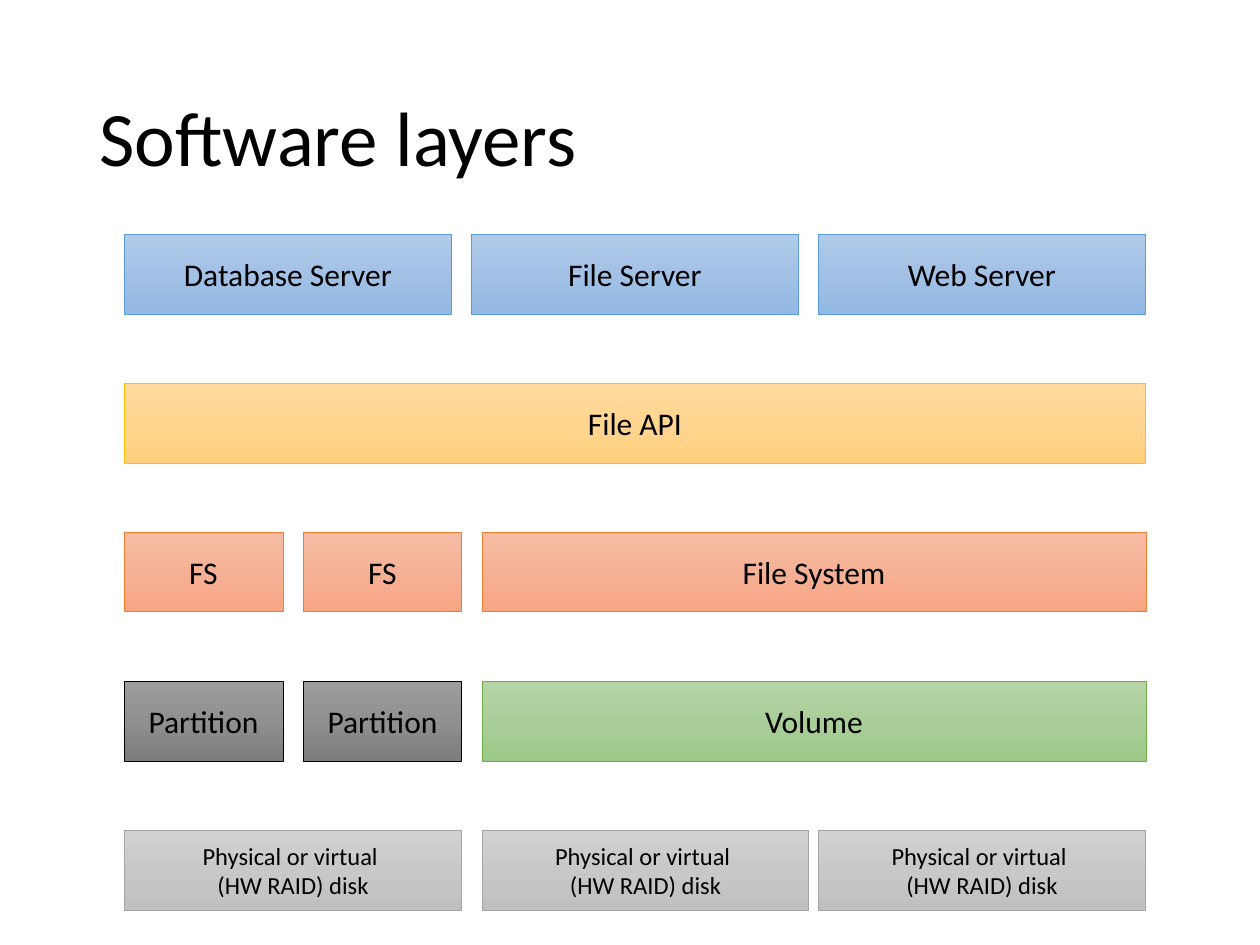
from copy import deepcopy

from pptx import Presentation
from pptx import util as u
from pptx.dml.color import RGBColor
from pptx.enum import shapes, text
from pptx.oxml.ns import qn

PX_PER_INCH = 126
FONT = "Calibri"
BLACK = RGBColor(0, 0, 0)


def rgbs(*codes):
    """Turn hex codes into colours."""
    return [RGBColor.from_string(code) for code in codes]


# Line colour, then gradient colours from top to bottom
BLUE = rgbs("5B9BD5", "B1CBE9", "A3C1E5", "93B9E4")
YELLOW = rgbs("FFC000", "FFDB9E", "FFD590", "FFD07C")
ORANGE = rgbs("ED7D31", "F7BDA5", "F5B196", "F8A582")
DARK = rgbs("000000", "9D9D9D", "909090", "7C7C7C")
GREEN = rgbs("70AD47", "B5D5A7", "AACE9A", "9CC987")
GRAY = rgbs("A5A5A5", "D2D2D2", "C8C8C8", "C0C0C0")

DISK = "Physical or virtual \v(HW RAID) disk"
THIRDS = [(0, 328), (347, 328), (694, 328)]
FULL = [(0, 1022)]
VOLUMES = [(0, 159), (179, 159), (358, 664)]
DISKS = [(0, 338), (358, 327), (694, 328)]

LAYERS = [
    (THIRDS, 18, [("Database Server", BLUE), ("File Server", BLUE), ("Web Server", BLUE)]),
    (FULL, 18, [("File API", YELLOW)]),
    (VOLUMES, 18, [("FS", ORANGE), ("FS", ORANGE), ("File System", ORANGE)]),
    (VOLUMES, 18, [("Partition", DARK), ("Partition", DARK), ("Volume", GREEN)]),
    (DISKS, 14, [(DISK, GRAY)] * 3),
]


def px(n):
    """Turn pixels into EMU."""
    return u.Emu(round(n * 914400 / PX_PER_INCH))


def style_text(tf, size, align, **para):
    """Format the only paragraph of a text frame."""
    tf.word_wrap = True
    tf.vertical_anchor = text.MSO_ANCHOR.MIDDLE
    p = tf.paragraphs[0]
    for name, value in {"alignment": align, **para}.items():
        setattr(p, name, value)
    for r in p.runs:
        for name, value in {"size": u.Pt(size), "name": FONT}.items():
            setattr(r.font, name, value)
        r.font.color.rgb = BLACK


def fill_gradient(sp, colors):
    """Fill a shape with evenly spaced colours from top to bottom."""
    sp.fill.gradient()
    sp.fill.gradient_angle = 270
    stop_list = sp.fill._xPr.find(".//" + qn("a:gsLst"))
    stop_list.insert(1, deepcopy(stop_list[0]))
    for i, (stop, color) in enumerate(zip(sp.fill.gradient_stops, colors)):
        stop.position = i / 2
        stop.color.rgb = color


def add_block(s, x, y, w, h, label, theme, size):
    """Draw one labelled block."""
    sp = s.shapes.add_shape(shapes.MSO_SHAPE.RECTANGLE, px(x), px(y), px(w), px(h))
    sp.shadow.inherit = False
    line, *colors = theme
    fill_gradient(sp, colors)
    sp.line.color.rgb = line
    sp.line.width = u.Pt(0.5)
    sp.text_frame.text = label
    style_text(sp.text_frame, size, text.PP_ALIGN.CENTER)


def add_title(s, x, y, w, h):
    """Place and format the title."""
    sp = s.shapes.title
    sp.left, sp.top, sp.width, sp.height = map(px, (x, y, w, h))
    sp.text_frame.text = "Software layers"
    style_text(sp.text_frame, 44, text.PP_ALIGN.LEFT, line_spacing=0.9)


def add_layers(s, x, y, height, step):
    """Stack the layers from servers down to disks."""
    for row, (spans, size, blocks) in enumerate(LAYERS):
        for (left, width), (label, theme) in zip(spans, blocks):
            add_block(s, x + left, y + row * step, width, height, label, theme, size)


def main():
    """Build and save the slide."""
    prs = Presentation()
    prs.slide_width, prs.slide_height = px(1260), px(945)
    s = prs.slides.add_slide(prs.slide_layouts[5])
    add_title(s, 87, 50, 1086, 183)
    add_layers(s, 124, 234, 80, 149)
    prs.save("out.pptx")


if __name__ == "__main__":
    main()
